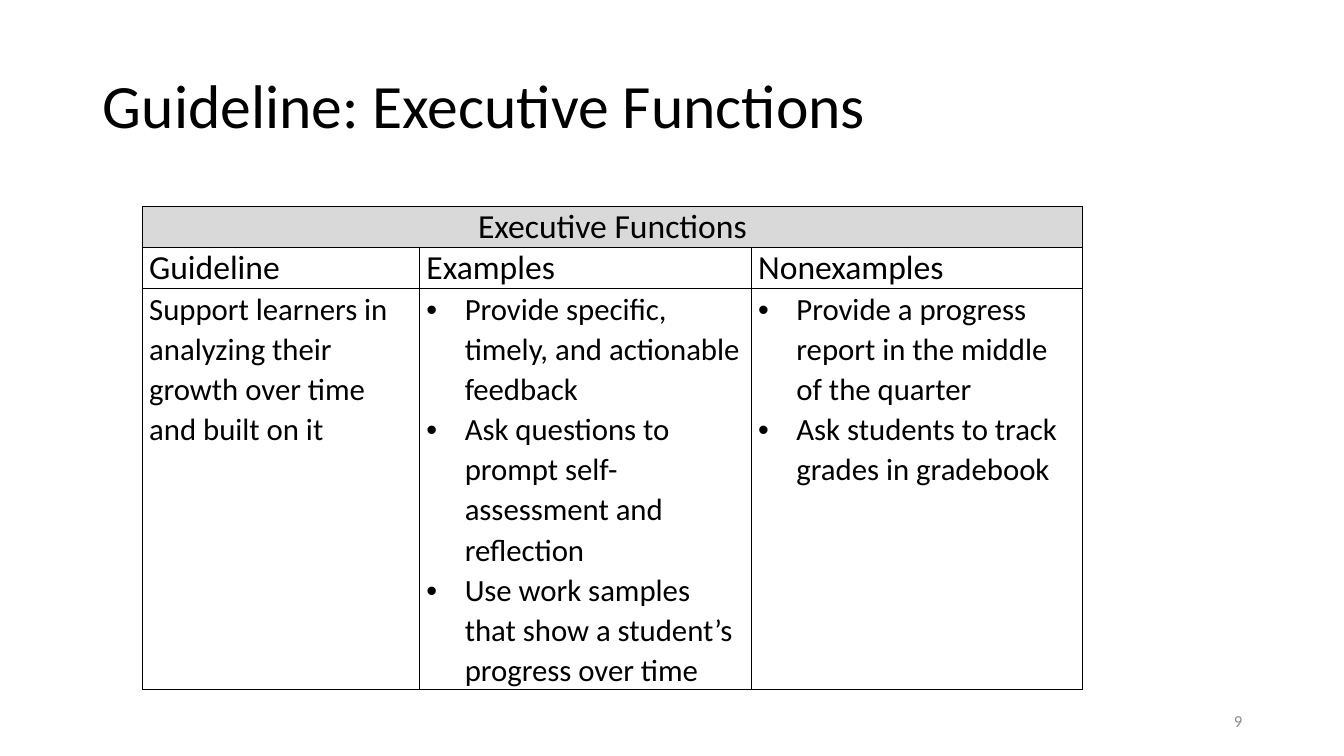
from dataclasses import dataclass

from lxml.etree import SubElement
from pptx import Presentation
from pptx.dml.color import RGBColor
from pptx.enum.text import MSO_ANCHOR, MSO_AUTO_SIZE, PP_ALIGN
from pptx.oxml.ns import qn
from pptx.util import Inches, Pt


@dataclass(frozen=True)
class Theme:
    font: str = "Calibri"
    ink: str = "000000"
    muted: str = "8C8C8C"
    band: str = "D9D9D9"
    title_size: int = 44
    heading_size: int = 24
    body_size: int = 22
    number_size: int = 12


THEME = Theme()
TABLE_TITLE = "Executive Functions"
HEADINGS = ["Guideline", "Examples", "Nonexamples"]
GUIDELINE = "Support learners in analyzing their growth over time and built on it"
EXAMPLES = [
    "Provide specific, timely, and actionable feedback",
    "Ask questions to prompt self-assessment and reflection",
    "Use work samples that show a student’s progress over time",
]
NONEXAMPLES = [
    "Provide a progress report in the middle of the quarter",
    "Ask students to track grades in gradebook",
]
COLUMN_WIDTHS = [2.75, 3.29, 3.29]
ROW_HEIGHTS = [0.4, 0.4, 3.91]


def write_lines(frame, lines, size, color=THEME.ink, align=PP_ALIGN.LEFT,
                spacing=None, bulleted=False):
    frame.text = "\n".join(lines)
    frame.word_wrap = True
    for para in frame.paragraphs:
        if bulleted:
            add_bullet(para)
        para.alignment = align
        if spacing:
            para.line_spacing = spacing
        for span in para.runs:
            span.font.name = THEME.font
            span.font.size = Pt(size)
            span.font.bold = False
            span.font.color.rgb = RGBColor.from_string(color)


def add_bullet(para):
    properties = para._p.get_or_add_pPr()
    indent = Inches(0.38)
    properties.set("marL", str(indent))
    properties.set("indent", str(-indent))
    SubElement(properties, qn("a:buFont"), typeface="Arial")
    SubElement(properties, qn("a:buChar"), char="•")


def add_borders(cell):
    properties = cell._tc.get_or_add_tcPr()
    for side in ("L", "R", "T", "B"):
        line = SubElement(properties, qn(f"a:ln{side}"), w=str(Pt(1)))
        fill = SubElement(line, qn("a:solidFill"))
        SubElement(fill, qn("a:srgbClr"), val=THEME.ink)


def add_title(page, left, top, width, height):
    title = page.shapes.title
    title.left, title.top = Inches(left), Inches(top)
    title.width, title.height = Inches(width), Inches(height)
    frame = title.text_frame
    write_lines(frame, [f"Guideline: {TABLE_TITLE}"], THEME.title_size, spacing=0.9)
    frame.auto_size = MSO_AUTO_SIZE.NONE
    frame.vertical_anchor = MSO_ANCHOR.MIDDLE


def add_guideline_table(page, left, top, width, height):
    table = page.shapes.add_table(
        len(ROW_HEIGHTS), len(COLUMN_WIDTHS),
        Inches(left), Inches(top), Inches(width), Inches(height)).table
    table.first_row = False
    table.horz_banding = False
    for column, column_width in zip(table.columns, COLUMN_WIDTHS):
        column.width = Inches(column_width)
    for row, row_height in zip(table.rows, ROW_HEIGHTS):
        row.height = Inches(row_height)
    for cell in table.iter_cells():
        cell.margin_left = cell.margin_right = Inches(0.07)
        cell.margin_top = cell.margin_bottom = 0
        add_borders(cell)
        cell.fill.background()

    banner = table.cell(0, 0)
    banner.merge(table.cell(0, len(COLUMN_WIDTHS) - 1))
    banner.fill.solid()
    banner.fill.fore_color.rgb = RGBColor.from_string(THEME.band)
    write_lines(banner.text_frame, [TABLE_TITLE], THEME.heading_size,
                align=PP_ALIGN.CENTER)
    for index, heading in enumerate(HEADINGS):
        write_lines(table.cell(1, index).text_frame, [heading], THEME.heading_size)
    for index, lines in enumerate([[GUIDELINE], EXAMPLES, NONEXAMPLES]):
        write_lines(table.cell(2, index).text_frame, lines, THEME.body_size,
                    spacing=1.07, bulleted=index > 0)


def add_page_number(page, left, top, width, height):
    box = page.shapes.add_textbox(
        Inches(left), Inches(top), Inches(width), Inches(height))
    box.text_frame.vertical_anchor = MSO_ANCHOR.MIDDLE
    write_lines(box.text_frame, ["9"], THEME.number_size, THEME.muted, PP_ALIGN.RIGHT)


def main():
    deck = Presentation()
    deck.slide_width, deck.slide_height = Inches(13.33), Inches(7.5)
    page = deck.slides.add_slide(deck.slide_layouts[5])
    add_title(page, 0.92, 0.35, 11.5, 1.45)
    add_guideline_table(page, 1.41, 2.05, sum(COLUMN_WIDTHS), sum(ROW_HEIGHTS))
    add_page_number(page, 9.42, 6.95, 3, 0.4)
    deck.save("out.pptx")


if __name__ == "__main__":
    main()
